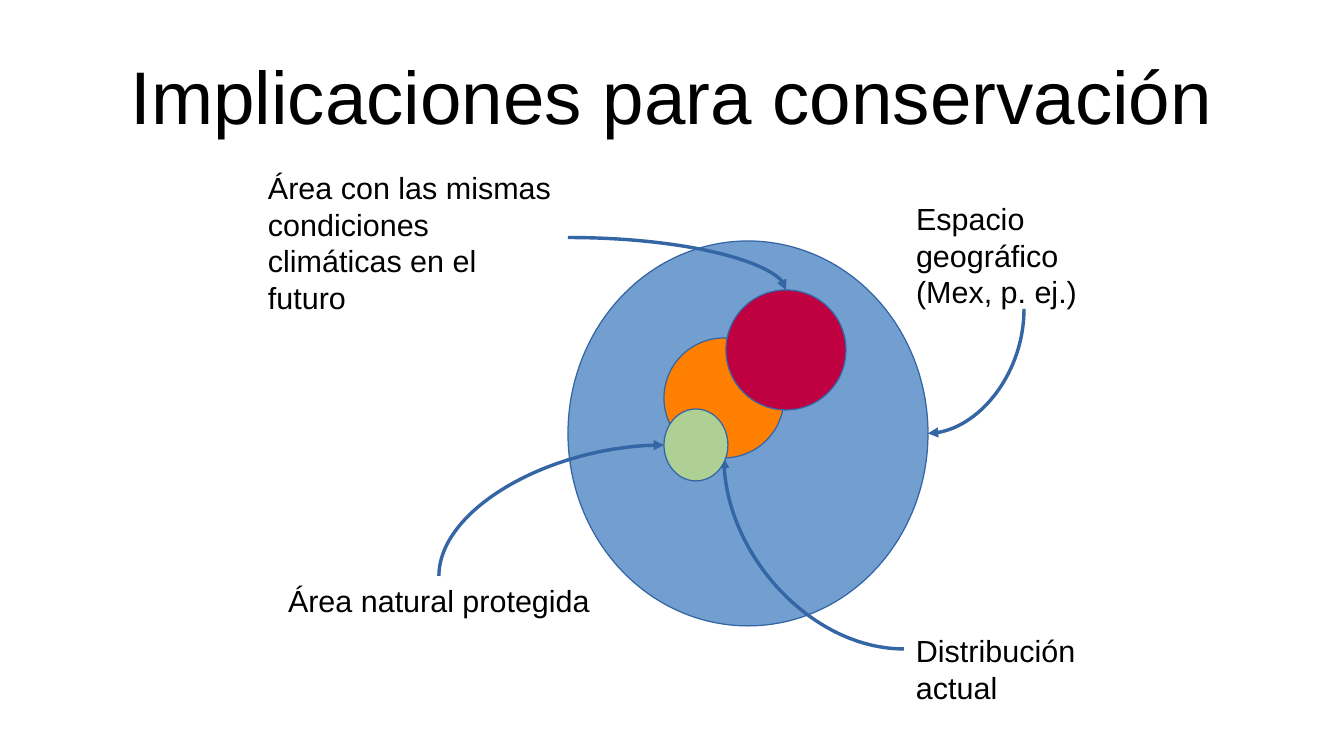
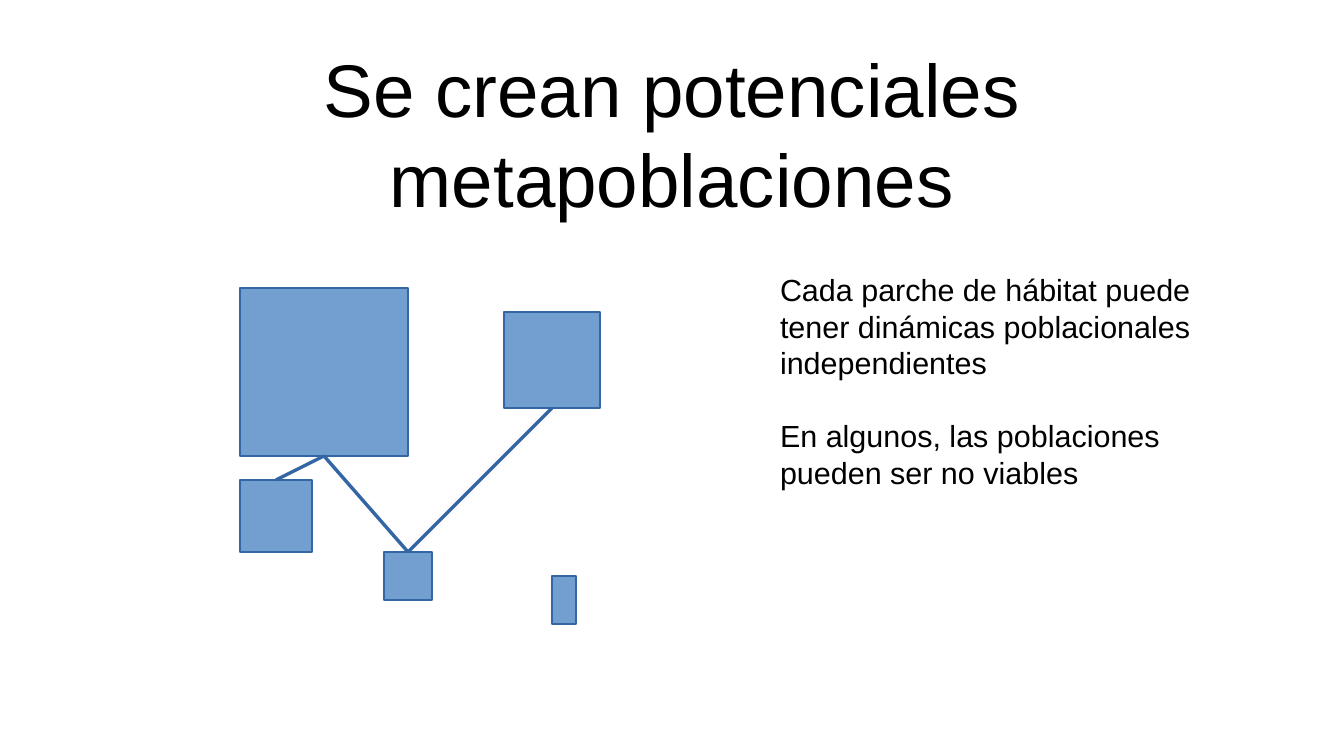
import dataclasses

import pptx
import pptx.dml.color
import pptx.enum.shapes
import pptx.enum.text
import pptx.oxml.ns
import pptx.util
from lxml import etree

PX = 7495
SHAPES = pptx.enum.shapes.MSO_SHAPE
CONNECTORS = pptx.enum.shapes.MSO_CONNECTOR
TOP, BOTTOM = 0, 2


@dataclasses.dataclass(frozen=True)
class Theme:
    font: str = "Arial"
    title_size: int = 44
    body_size: int = 18
    paragraph_gap: float = 21.5
    ink: str = "000000"
    outline: str = "3465A4"
    blue: str = "729FCF"
    orange: str = "FF8000"
    crimson: str = "BF0041"
    green: str = "AFD095"


THEME = Theme()


def emu(*lengths):
    return [round(length * PX) for length in lengths]


def rgb(value):
    return pptx.dml.color.RGBColor.from_string(value)


def within(region, box):
    left, top, width, height = box
    return region[0] + left, region[1] + top, width, height


def side_point(box, side):
    left, top, width, height = box
    return {
        "top": (left + width / 2, top),
        "bottom": (left + width / 2, top + height),
        "left": (left, top + height / 2),
        "right": (left + width, top + height / 2),
    }[side]


def write(box_shape, paragraphs, size):
    frame = box_shape.text_frame
    for index, text in enumerate(paragraphs):
        paragraph = frame.paragraphs[0] if index == 0 else frame.add_paragraph()
        if index:
            paragraph.space_before = pptx.util.Pt(THEME.paragraph_gap)
        run = paragraph.add_run()
        run.text = text
        run.font.name = THEME.font
        run.font.size = pptx.util.Pt(size)
        run.font.color.rgb = rgb(THEME.ink)
    return frame


def add_title(slide, box, text):
    frame = write(slide.shapes.add_textbox(*emu(*box)), [text], THEME.title_size)
    frame.word_wrap = True
    frame.vertical_anchor = pptx.enum.text.MSO_ANCHOR.MIDDLE
    frame.margin_left = frame.margin_right = 0
    frame.margin_top = frame.margin_bottom = 0
    frame.paragraphs[0].alignment = pptx.enum.text.PP_ALIGN.CENTER


def add_note(slide, box, paragraphs, wrap=True):
    frame = write(slide.shapes.add_textbox(*emu(*box)), paragraphs, THEME.body_size)
    frame.word_wrap = wrap
    frame.auto_size = pptx.enum.text.MSO_AUTO_SIZE.SHAPE_TO_FIT_TEXT


def add_area(slide, kind, box, fill):
    area = slide.shapes.add_shape(kind, *emu(*box))
    area.shadow.inherit = False
    area.fill.solid()
    area.fill.fore_color.rgb = rgb(fill)
    area.line.color.rgb = rgb(THEME.outline)
    area.line.width = 0
    return area


def add_link(slide, kind, start, end):
    link = slide.shapes.add_connector(kind, *emu(*start, *end))
    link.line.color.rgb = rgb(THEME.outline)
    link.line.width = 0
    etree.SubElement(link._element.spPr, pptx.oxml.ns.qn("a:effectLst"))
    return link


def add_curved_arrow(slide, start, end, leaves_sideways):
    ends = (start, end) if leaves_sideways else (end, start)
    arrow = add_link(slide, CONNECTORS.CURVE, *ends)
    properties = arrow._element.spPr
    properties.find(pptx.oxml.ns.qn("a:prstGeom")).set("prst", "curvedConnector2")
    tip = "a:tailEnd" if leaves_sideways else "a:headEnd"
    outline = properties.find(pptx.oxml.ns.qn("a:ln"))
    etree.SubElement(outline, pptx.oxml.ns.qn(tip), type="triangle")


def add_callout(slide, text, box, wrap, start_side, target, target_side):
    add_note(slide, box, [text], wrap)
    add_curved_arrow(
        slide,
        side_point(box, start_side),
        side_point(target, target_side),
        start_side in ("left", "right"),
    )


def add_conservation_diagram(slide, region):
    territory = within(region, (312, 78, 360, 385))
    current = within(region, (408, 175, 120, 120))
    future = within(region, (470, 127, 120, 120))
    protected = within(region, (408, 246, 64, 72))

    add_area(slide, SHAPES.OVAL, territory, THEME.blue)
    add_area(slide, SHAPES.OVAL, current, THEME.orange)
    add_callout(slide, "Espacio geográfico (Mex, p. ej.)",
                within(region, (648, 31, 240, 115)), True, "bottom", territory, "right")
    add_callout(slide, "Distribución actual",
                within(region, (648, 463, 273, 46)), False, "left", current, "bottom")
    add_area(slide, SHAPES.OVAL, future, THEME.crimson)
    add_callout(slide, "Área con las mismas condiciones climáticas en el futuro",
                within(region, (0, 0, 312, 149)), True, "right", future, "top")
    add_area(slide, SHAPES.OVAL, protected, THEME.green)
    add_callout(slide, "Área natural protegida",
                within(region, (20, 413, 326, 46)), False, "top", protected, "left")


def add_patch_network(slide, region):
    unit = region[2] / 15
    patch_cells = {
        "large": (0, 0, 7, 7),
        "near": (0, 8, 3, 3),
        "small": (6, 11, 2, 2),
        "isolated": (13, 12, 1, 2),
        "medium": (11, 1, 4, 4),
    }
    patches = {}
    for patch, cells in patch_cells.items():
        box = within(region, [cell * unit for cell in cells])
        patches[patch] = add_area(slide, SHAPES.RECTANGLE, box, THEME.blue)
    for origin, origin_site, target, target_site in (
        ("large", BOTTOM, "near", TOP),
        ("large", BOTTOM, "small", TOP),
        ("small", TOP, "medium", BOTTOM),
    ):
        corridor = add_link(slide, CONNECTORS.STRAIGHT, region[:2], region[:2])
        corridor.begin_connect(patches[origin], origin_site)
        corridor.end_connect(patches[target], target_site)


def build_conservation(slide):
    add_title(slide, (67, 31, 1210, 127), "Implicaciones para conservación")
    add_conservation_diagram(slide, (256, 163, 921, 509))


def build_metapopulations(slide):
    add_title(slide, (67, 49, 1210, 167), "Se crean potenciales metapoblaciones")
    add_patch_network(slide, (240, 288, 360, 336))
    add_note(slide, (768, 265, 504, 217), [
        "Cada parche de hábitat puede tener dinámicas poblacionales independientes",
        "En algunos, las poblaciones pueden ser no viables",
    ])


def main():
    presentation = pptx.Presentation()
    presentation.slide_width, presentation.slide_height = emu(1344, 756)
    blank = presentation.slide_layouts[6]
    for build in (build_conservation, build_metapopulations):
        build(presentation.slides.add_slide(blank))
    presentation.save("out.pptx")


if __name__ == "__main__":
    main()
